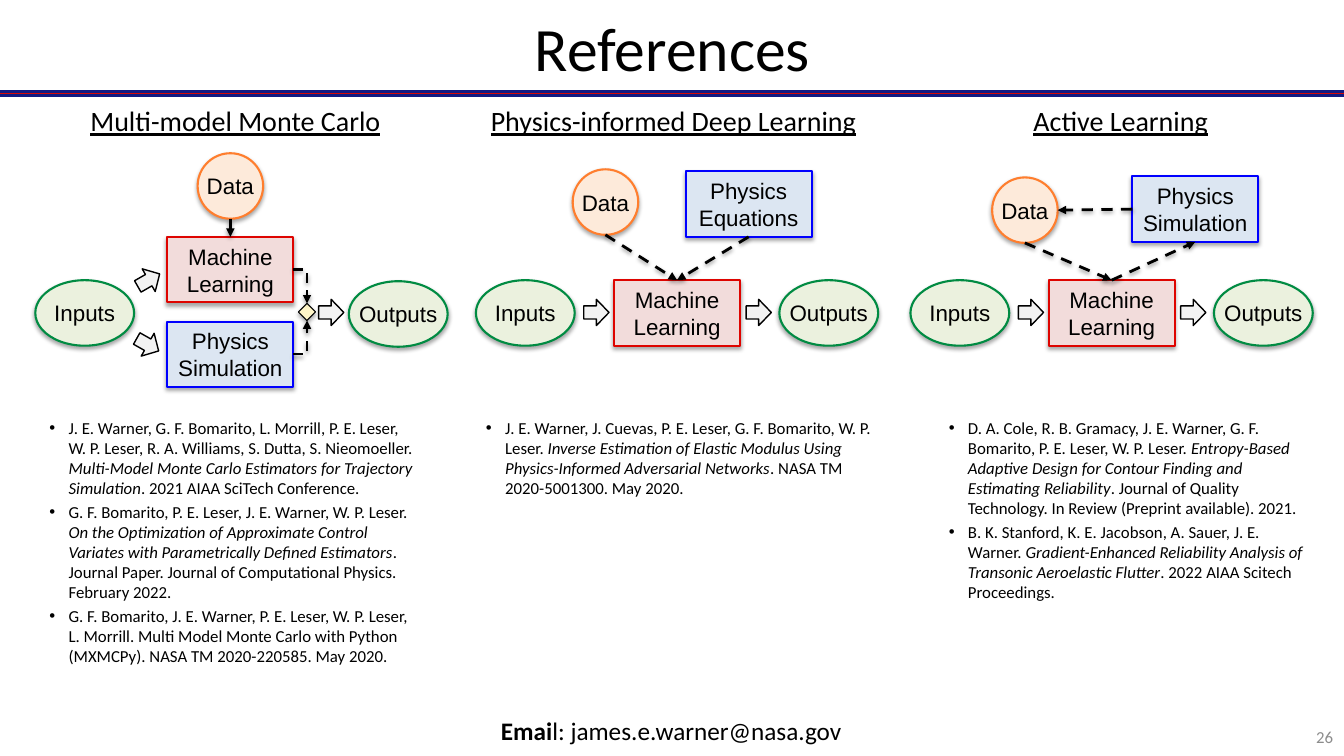
from lxml import etree
from pptx import Presentation
from pptx.dml.color import RGBColor
from pptx.enum.dml import MSO_LINE
from pptx.enum.shapes import MSO_CONNECTOR, MSO_SHAPE
from pptx.enum.text import MSO_ANCHOR, MSO_AUTO_SIZE, PP_ALIGN
from pptx.oxml.ns import qn
from pptx.util import Inches, Pt

BLACK = RGBColor(0x00, 0x00, 0x00)
GRAY = RGBColor(0x8C, 0x8C, 0x8C)
NAVY = RGBColor(0x12, 0x19, 0x81)
CRIMSON = RGBColor(0xD4, 0x08, 0x05)
ARROW_FILL = RGBColor(0xF2, 0xF2, 0xF2)
DIAMOND_FILL = RGBColor(0xFF, 0xF6, 0xC8)
RED_BOX = (RGBColor(0xF2, 0xDC, 0xDB), RGBColor(0xDE, 0x04, 0x00))
BLUE_BOX = (RGBColor(0xDC, 0xE6, 0xF2), RGBColor(0x00, 0x00, 0xFF))
GREEN_OVAL = (RGBColor(0xEB, 0xF1, 0xDE), RGBColor(0x00, 0x8B, 0x42))
ORANGE_OVAL = (RGBColor(0xFD, 0xEA, 0xDA), RGBColor(0xFF, 0x7E, 0x2E))

RECT, OVAL = MSO_SHAPE.RECTANGLE, MSO_SHAPE.OVAL
DIAMOND, ARROW = MSO_SHAPE.DIAMOND, MSO_SHAPE.RIGHT_ARROW
STRAIGHT, ELBOW = MSO_CONNECTOR.STRAIGHT, MSO_CONNECTOR.ELBOW
DASH = MSO_LINE.DASH
LEFT, CENTER, RIGHT = PP_ALIGN.LEFT, PP_ALIGN.CENTER, PP_ALIGN.RIGHT
TOP, MIDDLE = MSO_ANCHOR.TOP, MSO_ANCHOR.MIDDLE
NO_FIT = MSO_AUTO_SIZE.NONE
SIDE_TOP, SIDE_LEFT, SIDE_BOTTOM, SIDE_RIGHT = range(4)

MONTE_CARLO_REFS = [
    ("J. E. Warner, G. F. Bomarito, L. Morrill, P. E. Leser, W. P. Leser, "
     "R. A. Williams, S. Dutta, S. Nieomoeller. ",
     "Multi-Model Monte Carlo Estimators for Trajectory Simulation",
     ". 2021 AIAA SciTech Conference."),
    ("G. F. Bomarito, P. E. Leser, J. E. Warner, W. P. Leser. ",
     "On the Optimization of Approximate Control Variates with "
     "Parametrically Defined Estimators",
     ". Journal Paper. Journal of Computational Physics. February 2022."),
    ("G. F. Bomarito, J. E. Warner, P. E. Leser, W. P. Leser, L. Morrill. "
     "Multi Model Monte Carlo with Python (MXMCPy). "
     "NASA TM 2020-220585. May 2020.",),
]
DEEP_LEARNING_REFS = [
    ("J. E. Warner, J. Cuevas, P. E. Leser, G. F. Bomarito, W. P. Leser. ",
     "Inverse Estimation of Elastic Modulus Using Physics-Informed "
     "Adversarial Networks",
     ". NASA TM 2020-5001300. May 2020."),
]
ACTIVE_LEARNING_REFS = [
    ("D. A. Cole, R. B. Gramacy, J. E. Warner, G. F. Bomarito, P. E. Leser, "
     "W. P. Leser. ",
     "Entropy-Based Adaptive Design for Contour Finding and Estimating "
     "Reliability",
     ". Journal of Quality Technology. In Review (Preprint available). 2021."),
    ("B. K. Stanford, K. E. Jacobson, A. Sauer, J. E. Warner. ",
     "Gradient-Enhanced Reliability Analysis of Transonic Aeroelastic Flutter",
     ". 2022 AIAA Scitech Proceedings."),
]


def style(r, size, color=BLACK, name="Calibri"):
    r.font.size, r.font.name = Pt(size), name
    r.font.color.rgb = color


def place(sp, x, y, w, h):
    sp.left, sp.top, sp.width, sp.height = map(Inches, (x, y, w, h))


def add_shadow(effects, distance, alpha):
    shadow = etree.SubElement(
        effects, qn("a:outerShdw"), blurRad=str(Pt(3.1)),
        dist=str(Pt(distance)), dir="5400000", rotWithShape="0")
    color = etree.SubElement(shadow, qn("a:srgbClr"), val="000000")
    etree.SubElement(color, qn("a:alpha"), val=str(alpha * 1000))


def add_text(s, x, y, w, h, text, size, align=LEFT, color=BLACK):
    sp = s.shapes.add_textbox(*map(Inches, (x, y, w, h)))
    tf = sp.text_frame
    tf.text, tf.word_wrap = text, False
    p = tf.paragraphs[0]
    p.alignment = align
    style(p.runs[0], size, color)
    return p


def add_node(s, kind, x, y, w, h, colors, width=1.5, text="", shadow=True):
    sp = s.shapes.add_shape(kind, *map(Inches, (x, y, w, h)))
    fill, line = colors
    sp.fill.solid()
    sp.fill.fore_color.rgb = fill
    sp.line.color.rgb, sp.line.width = line, Pt(width)
    sp.shadow.inherit = False
    if shadow:
        add_shadow(sp.element.spPr.find(qn("a:effectLst")), 1.8, 35)
    if text:
        tf = sp.text_frame
        tf.text, tf.vertical_anchor, tf.word_wrap = text, MIDDLE, kind == RECT
        tf.margin_left = tf.margin_right = Inches(0.05)
        tf.paragraphs[0].alignment = CENTER
        style(tf.paragraphs[0].runs[0], 16, name="Arial")
    return sp


def add_box(s, x, y, text, colors):
    return add_node(s, RECT, x, y, 1.25, 0.65, colors, text=text)


def add_data(s, x, y):
    return add_node(s, OVAL, x, y, 0.65, 0.65, ORANGE_OVAL, text="Data")


def add_oval(s, x, y, text):
    return add_node(s, OVAL, x, y, 0.98, 0.65, GREEN_OVAL, text=text)


def add_arrow(s, x, y, rotation=0):
    sp = add_node(s, ARROW, x, y, 0.25, 0.26, (ARROW_FILL, BLACK), 1, shadow=False)
    sp.rotation = rotation


def side_point(sp, side):
    middle_x, middle_y = sp.left + sp.width // 2, sp.top + sp.height // 2
    return {SIDE_TOP: (middle_x, sp.top), SIDE_LEFT: (sp.left, middle_y),
            SIDE_BOTTOM: (middle_x, sp.top + sp.height),
            SIDE_RIGHT: (sp.left + sp.width, middle_y)}[side]


def link(s, start, start_side, end, end_side, kind=STRAIGHT, width=2):
    c = s.shapes.add_connector(kind, *side_point(start, start_side),
                               *side_point(end, end_side))
    if start.auto_shape_type != OVAL:
        c.begin_connect(start, start_side)
    if end.auto_shape_type != OVAL:
        c.end_connect(end, end_side)
    if kind == ELBOW:
        c.element.spPr.find(qn("a:prstGeom")).set("prst", "bentConnector2")
    c.line.color.rgb, c.line.width, c.line.dash_style = BLACK, Pt(width), DASH
    etree.SubElement(c.line._get_or_add_ln(), qn("a:tailEnd"), type="triangle")
    add_shadow(etree.SubElement(c.element.spPr, qn("a:effectLst")), 1.6, 38)


def add_pipeline(s, x, y):
    add_oval(s, x, y, "Inputs")
    add_arrow(s, x + 1.07, y + 0.19)
    learning = add_box(s, x + 1.37, y, "Machine Learning", RED_BOX)
    add_arrow(s, x + 2.68, y + 0.19)
    add_oval(s, x + 3.01, y, "Outputs")
    return learning


def monte_carlo(s, x, y):
    add_oval(s, x, y, "Inputs")
    add_arrow(s, x + 1, y - 0.13, -29.8)
    add_arrow(s, x + 0.99, y + 0.51, 29.5)
    data = add_data(s, x + 1.61, y - 1.26)
    learning = add_box(s, x + 1.31, y - 0.43, "Machine Learning", RED_BOX)
    physics = add_box(s, x + 1.31, y + 0.41, "Physics Simulation", BLUE_BOX)
    merge = add_node(s, DIAMOND, x + 2.61, y + 0.23, 0.17, 0.17,
                     (DIAMOND_FILL, BLACK), 0.75)
    add_arrow(s, x + 2.81, y + 0.19)
    add_oval(s, x + 3.11, y + 0.01, "Outputs")
    link(s, data, SIDE_BOTTOM, learning, SIDE_TOP)
    link(s, learning, SIDE_RIGHT, merge, SIDE_TOP, ELBOW, 1.75)
    link(s, physics, SIDE_RIGHT, merge, SIDE_BOTTOM, ELBOW, 1.75)


def deep_learning(s, x, y):
    learning = add_pipeline(s, x, y)
    data = add_data(s, x + 0.96, y - 1.1)
    physics = add_box(s, x + 2.08, y - 1.08, "Physics Equations", BLUE_BOX)
    for source in (physics, data):
        link(s, source, SIDE_BOTTOM, learning, SIDE_TOP)


def active_learning(s, x, y):
    learning = add_pipeline(s, x, y)
    data = add_data(s, x + 0.81, y - 1.02)
    physics = add_box(s, x + 2.2, y - 1.03, "Physics Simulation", BLUE_BOX)
    link(s, physics, SIDE_LEFT, data, SIDE_RIGHT)
    link(s, data, SIDE_BOTTOM, learning, SIDE_TOP)
    link(s, learning, SIDE_TOP, physics, SIDE_BOTTOM)


def add_references(sp, x, y, w, h, references):
    place(sp, x, y, w, h)
    tf = sp.text_frame
    tf.auto_size, tf.vertical_anchor, tf.word_wrap = NO_FIT, TOP, True
    for i, parts in enumerate(references):
        p = tf.add_paragraph() if i else tf.paragraphs[0]
        pPr = p._p.get_or_add_pPr()
        pPr.set("marL", str(Inches(0.19)))
        pPr.set("indent", str(Inches(-0.19)))
        etree.SubElement(pPr, qn("a:buFont"), typeface="Arial")
        etree.SubElement(pPr, qn("a:buChar"), char="•")
        p.alignment, p.space_before, p.space_after = LEFT, Pt(2.4 if i else 0), Pt(0)
        for j, part in enumerate(parts):
            r = p.add_run()
            r.text = part
            style(r, 12)
            r.font.bold, r.font.italic = False, j == 1


def add_header(s, x, y, w, h):
    for color, width in ((NAVY, 5), (CRIMSON, 1)):
        c = s.shapes.add_connector(STRAIGHT, 0, Inches(0.93), Inches(13.33), Inches(0.93))
        c.line.color.rgb, c.line.width = color, Pt(width)
        etree.SubElement(c.element.spPr, qn("a:effectLst"))
    title = s.shapes.title
    place(title, x, y, w, h)
    tf = title.text_frame
    tf.text, tf.auto_size, tf.vertical_anchor = "References", NO_FIT, MIDDLE
    p = tf.paragraphs[0]
    p.alignment, p.line_spacing = CENTER, 0.9
    style(p.runs[0], 44)


def add_footer(s, y):
    p = add_text(s, 4.87, y, 3.6, 0.4, "Emai", 18)
    p.runs[0].font.bold = True
    r = p.add_run()
    r.text = "l: james.e.warner@nasa.gov"
    style(r, 18)
    add_text(s, 10.32, y + 0.11, 3, 0.3, "26", 12, RIGHT, GRAY)


def main():
    prs = Presentation()
    prs.slide_width, prs.slide_height = Inches(13.33), Inches(7.5)
    s = prs.slides.add_slide(prs.slide_layouts[4])
    add_header(s, 0.92, -0.21, 11.5, 1.45)
    bodies = list(s.placeholders)[1:]
    spare = bodies.pop().element
    spare.getparent().remove(spare)
    columns = [
        ("Multi-model Monte Carlo", 0.78, 3.11, monte_carlo, 0.35,
         MONTE_CARLO_REFS, 0.39, 3.83, 2.59),
        ("Physics-informed Deep Learning", 4.75, 3.86, deep_learning, 4.72,
         DEEP_LEARNING_REFS, 4.72, 4.11, 0.91),
        ("Active Learning", 10.14, 1.95, active_learning, 9.03,
         ACTIVE_LEARNING_REFS, 9.31, 3.83, 2.12),
    ]
    for body, (heading, x, w, diagram, diagram_x, refs, refs_x, refs_w, refs_h) in zip(bodies, columns):
        add_text(s, x, 0.98, w, 0.44, heading, 20, CENTER).runs[0].font.underline = True
        diagram(s, diagram_x, 2.78)
        add_references(body, refs_x, 4.09, refs_w, refs_h, refs)
    add_footer(s, 7.05)
    prs.save("out.pptx")


if __name__ == "__main__":
    main()
